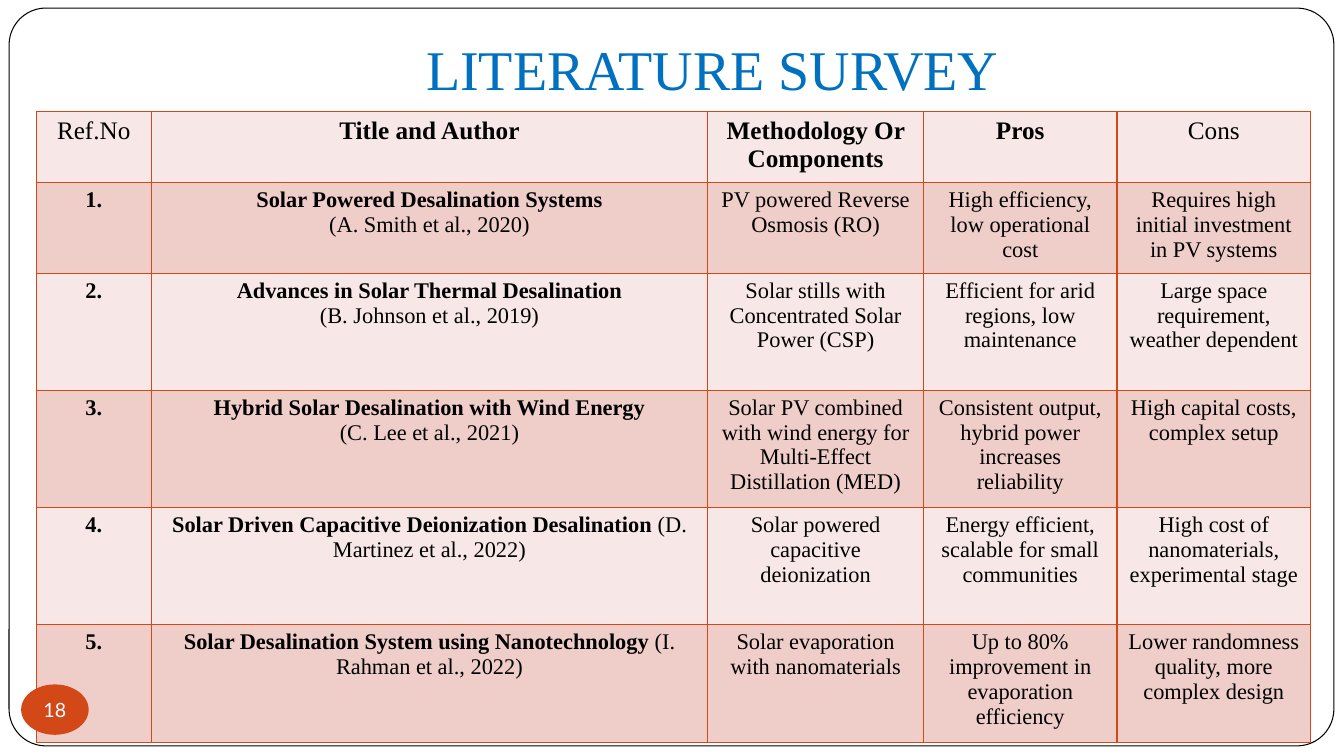
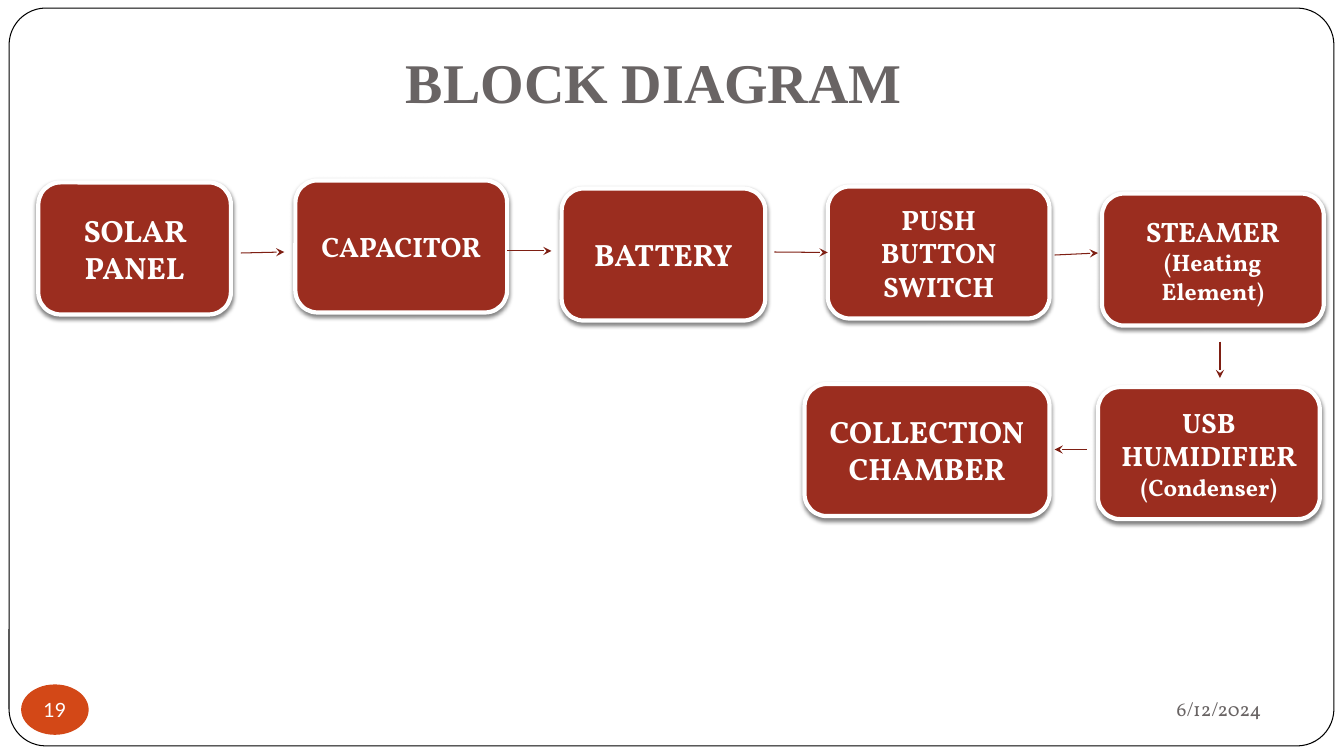
from dataclasses import dataclass
from lxml import etree
from pptx import Presentation
from pptx import util as u
from pptx.dml import color
from pptx.enum import shapes, text
from pptx.oxml import ns


@dataclass(frozen=True)
class Theme:
    serif: str = "Times New Roman"
    block_font: str = "Vollkorn"
    number_font: str = "Lato"
    white: str = "FFFFFF"
    black: str = "000000"
    blue: str = "0070C0"
    grey: str = "696464"
    orange: str = "D34817"
    brick: str = "9B2D1F"
    arrow: str = "7E1F13"
    bands: tuple = ("F7E8E7", "EFCECA")
    title_size: int = 40
    header_size: int = 18
    cell_size: int = 16
    small_size: int = 14
    note_size: int = 17


THEME = Theme()

SURVEY_TITLE = "LITERATURE SURVEY"
HEADERS = [("Ref.No", False), ("Title and Author", True),
           ("Methodology Or Components", True), ("Pros", True), ("Cons", False)]
SURVEY = [
    ("Solar Powered Desalination Systems", "(A. Smith et al., 2020)", True,
     "PV powered Reverse Osmosis (RO)", "High efficiency, low operational cost",
     "Requires high initial investment in PV systems"),
    ("Advances in Solar Thermal Desalination", "(B. Johnson et al., 2019)", True,
     "Solar stills with Concentrated Solar Power (CSP)",
     "Efficient for arid regions, low maintenance",
     "Large space requirement, weather dependent"),
    ("Hybrid Solar Desalination with Wind Energy", "(C. Lee et al., 2021)", True,
     "Solar PV combined with wind energy for Multi-Effect Distillation (MED)",
     "Consistent output, hybrid power increases reliability",
     "High capital costs, complex setup"),
    ("Solar Driven Capacitive Deionization Desalination", "(D. Martinez et al., 2022)", False,
     "Solar powered capacitive deionization",
     "Energy efficient, scalable for small communities",
     "High cost of nanomaterials, experimental stage"),
    ("Solar Desalination System using Nanotechnology", "(I. Rahman et al., 2022)", False,
     "Solar evaporation with nanomaterials",
     "Up to 80% improvement in evaporation efficiency",
     "Lower randomness quality, more complex design"),
]
COLUMN_WIDTHS = [1.14, 5.52, 2.14, 1.92, 1.92]
ROW_HEIGHTS = [0.66, 0.89] + [1.16] * 4

DIAGRAM_TITLE = "BLOCK DIAGRAM"
DIAGRAM_DATE = "6/12/2024"
BLOCK_HEIGHT = 1.31
NOTE = THEME.note_size
BLOCKS = {
    "solar panel": (0.38, 1.81, 1.91, [[("SOLAR PANEL", 22)]]),
    "capacitor": (2.93, 1.79, 2.1, [[("CAPACITOR", 20)]]),
    "battery": (5.57, 1.87, 2.02, [[("BATTERY", 22)]]),
    "switch": (8.21, 1.85, 2.2, [[("PUSH BUTTON SWITCH", 20)]]),
    "steamer": (10.93, 1.92, 2.2, [[("STEAMER", 20)], [("(Heating Element)", NOTE)]]),
    "humidifier": (10.89, 3.84, 2.2, [[("USB HUMIDIFIER ", 20), ("(Condenser)", NOTE)]]),
    "collection": (7.98, 3.81, 2.43, [[("COLLECTION CHAMBER", 22)]]),
}
ARROWS = [
    ((2.39, 2.51), (2.82, 2.5), None),
    ((5.03, 2.49), (5.47, 2.49), None),
    ((7.68, 2.5), (8.21, 2.51), ("switch", 1)),
    ((10.46, 2.53), (10.89, 2.51), None),
    ((12.1, 3.39), (12.1, 3.75), None),
    ((10.78, 4.46), (10.46, 4.46), None),
]


def rgb(value):
    return color.RGBColor.from_string(value)


def inches(*values):
    return [u.Inches(value) for value in values]


def write(frame, paragraphs, font, ink, align=text.PP_ALIGN.CENTER):
    frame.word_wrap = True
    for index, runs in enumerate(paragraphs):
        paragraph = frame.add_paragraph() if index else frame.paragraphs[0]
        paragraph.alignment = align
        paragraph.font.name = font
        paragraph.font.color.rgb = rgb(ink)
        for words, size, bold in runs:
            run = paragraph.add_run()
            run.text = words
            run.font.size = u.Pt(size)
            run.font.bold = bold


def add_panel(slide, kind, box, fill, line=None, width=0):
    panel = slide.shapes.add_shape(kind, *inches(*box))
    panel.shadow.inherit = False
    panel.fill.solid()
    panel.fill.fore_color.rgb = rgb(fill)
    if line:
        panel.line.color.rgb = rgb(line)
        panel.line.width = u.Pt(width)
    else:
        panel.line.fill.background()
    panel.text_frame.vertical_anchor = text.MSO_ANCHOR.MIDDLE
    return panel


def add_label(slide, box, words, size, font, ink, anchor, align, bold=False, bottom=0.05):
    frame = slide.shapes.add_textbox(*inches(*box)).text_frame
    frame.vertical_anchor = anchor
    frame.margin_bottom = u.Inches(bottom)
    write(frame, [[(words, size, bold)]], font, ink, align)


def start_slide(deck, title, box, ink, bold):
    slide = deck.slides.add_slide(deck.slide_layouts[6])
    border = add_panel(slide, shapes.MSO_SHAPE.ROUNDED_RECTANGLE,
                       (0.09, 0.08, 13.14, 7.32), THEME.white, THEME.black, 0.75)
    border.adjustments[0] = 0.05
    add_label(slide, box, title, THEME.title_size, THEME.serif, ink,
              text.MSO_ANCHOR.BOTTOM, text.PP_ALIGN.CENTER, bold, 0.1)
    return slide


def add_page_number(slide, number):
    badge = add_panel(slide, shapes.MSO_SHAPE.OVAL, (0.21, 6.79, 0.67, 0.5), THEME.orange)
    frame = badge.text_frame
    frame.margin_left = frame.margin_right = frame.margin_top = frame.margin_bottom = 0
    write(frame, [[(str(number), THEME.small_size, False)]], THEME.number_font, THEME.white)


def outline_cell(cell):
    properties = cell._tc.get_or_add_tcPr()
    for index, side in enumerate(("lnL", "lnR", "lnT", "lnB")):
        edge = etree.Element(ns.qn(f"a:{side}"), w=str(u.Pt(1)))
        fill = etree.SubElement(edge, ns.qn("a:solidFill"))
        etree.SubElement(fill, ns.qn("a:srgbClr"), val=THEME.orange)
        properties.insert(index, edge)


def survey_rows():
    size = THEME.cell_size
    yield [[[(words, THEME.header_size, bold)]] for words, bold in HEADERS]
    for number, (title, author, split, *details) in enumerate(SURVEY, 1):
        if split:
            source = [[(title, size, True)], [(author, size, False)]]
        else:
            source = [[(title, size, True), (f" {author}", size, False)]]
        yield [[[(f"{number}.", size, True)]], source,
               *([[(detail, size, False)]] for detail in details)]


def build_survey(deck):
    slide = start_slide(deck, SURVEY_TITLE, (1.4, 0.3, 11.33, 0.81), THEME.blue, False)
    table = slide.shapes.add_table(
        len(ROW_HEIGHTS), len(COLUMN_WIDTHS),
        *inches(0.36, 1.11, sum(COLUMN_WIDTHS), sum(ROW_HEIGHTS))).table
    table.first_row = table.horz_banding = False
    for column, width in zip(table.columns, COLUMN_WIDTHS):
        column.width = u.Inches(width)
    for index, (row, height, contents) in enumerate(zip(table.rows, ROW_HEIGHTS, survey_rows())):
        row.height = u.Inches(height)
        for cell, paragraphs in zip(row.cells, contents):
            cell.fill.solid()
            cell.fill.fore_color.rgb = rgb(THEME.bands[index % 2])
            outline_cell(cell)
            write(cell.text_frame, paragraphs, THEME.serif, THEME.black)
    add_page_number(slide, 18)


def add_block(slide, left, top, width, paragraphs):
    block = add_panel(slide, shapes.MSO_SHAPE.ROUNDED_RECTANGLE,
                      (left, top, width, BLOCK_HEIGHT), THEME.brick, THEME.white, 3)
    effects = block._element.spPr.find(ns.qn("a:effectLst"))
    shadow = etree.SubElement(effects, ns.qn("a:outerShdw"), blurRad=str(u.Pt(3)),
                              dist=str(u.Pt(2)), dir="5400000", rotWithShape="0")
    shade = etree.SubElement(shadow, ns.qn("a:srgbClr"), val=THEME.black)
    etree.SubElement(shade, ns.qn("a:alpha"), val="49000")
    bold_runs = [[(words, size, True) for words, size in runs] for runs in paragraphs]
    write(block.text_frame, bold_runs, THEME.block_font, THEME.white)
    return block


def add_arrow(slide, start, end):
    arrow = slide.shapes.add_connector(shapes.MSO_CONNECTOR.STRAIGHT, *inches(*start, *end))
    arrow.line.color.rgb = rgb(THEME.arrow)
    arrow.line.width = u.Pt(0.75)
    etree.SubElement(arrow.line._get_or_add_ln(), ns.qn("a:tailEnd"), type="stealth")
    etree.SubElement(arrow._element.spPr, ns.qn("a:effectLst"))
    return arrow


def build_diagram(deck):
    slide = start_slide(deck, DIAGRAM_TITLE, (0.82, 0.29, 11.33, 0.95), THEME.grey, True)
    add_label(slide, (9, 6.77, 3.61, 0.52), DIAGRAM_DATE, THEME.small_size, THEME.block_font,
              THEME.grey, text.MSO_ANCHOR.MIDDLE, text.PP_ALIGN.RIGHT)
    blocks = {name: add_block(slide, *block) for name, block in BLOCKS.items()}
    for start, end, target in ARROWS:
        arrow = add_arrow(slide, start, end)
        if target:
            name, side = target
            arrow.end_connect(blocks[name], side)
    add_page_number(slide, 19)


def main():
    deck = Presentation()
    deck.slide_width, deck.slide_height = inches(13.33, 7.5)
    build_survey(deck)
    build_diagram(deck)
    deck.save("out.pptx")


if __name__ == "__main__":
    main()
